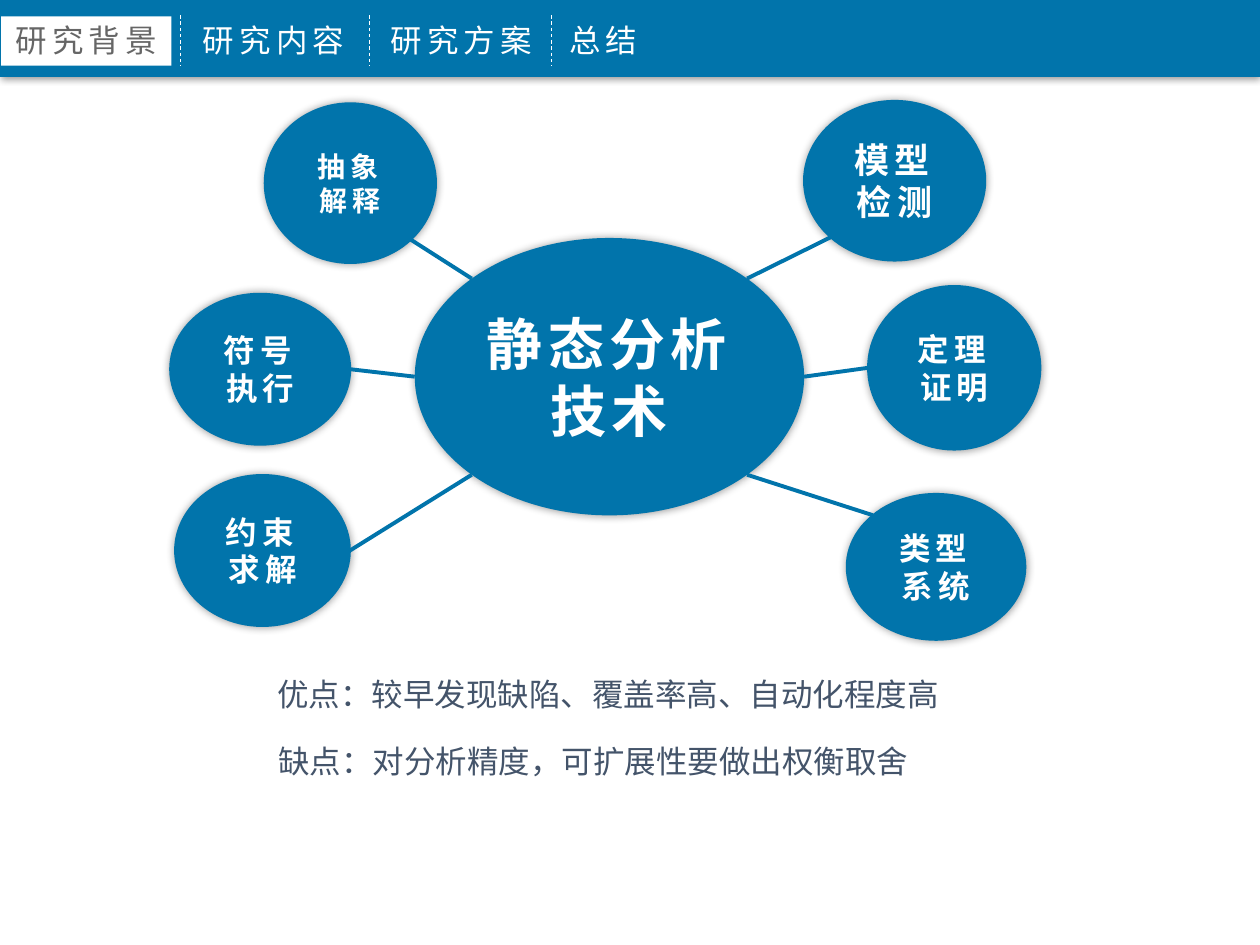
from math import cos, radians, sin

from lxml import etree
from pptx import Presentation
from pptx.dml.color import RGBColor
from pptx.enum.dml import MSO_LINE
from pptx.enum.shapes import MSO_CONNECTOR, MSO_SHAPE
from pptx.enum.text import MSO_ANCHOR, MSO_AUTO_SIZE, PP_ALIGN
from pptx.oxml.ns import qn
from pptx.util import Pt

OVAL, RECTANGLE = MSO_SHAPE.OVAL, MSO_SHAPE.RECTANGLE
STRAIGHT, DASH = MSO_CONNECTOR.STRAIGHT, MSO_LINE.DASH
LEFT, CENTER, JUSTIFY = PP_ALIGN.LEFT, PP_ALIGN.CENTER, PP_ALIGN.JUSTIFY
MIDDLE, GROW = MSO_ANCHOR.MIDDLE, MSO_AUTO_SIZE.SHAPE_TO_FIT_TEXT
FONT = "Noto Sans CJK SC"
BLUE, WHITE, GRAY, SLATE = "0174AB", "FFFFFF", "666666", "44546A"

TABS = [("研究背景", 0, 98.6), ("研究内容", 108.7, 102.2),
        ("研究方案", 216, 102.2), ("总结", 318.2, 102.2)]
SEPARATORS = [103, 211, 315.4]
HUB = (140, 79, 222.5, 158.5)
SPOKES = [
    ("模型检测", 20, (362.4, 0.6, 103.7, 91.4), 315, 135),
    ("定理证明", 18, (399, 106.4, 98.6, 93.6), 0, 180),
    ("类型系统", 18, (386.8, 225.2, 102.2, 83.5), 45, 225),
    ("约束求解", 18, (3, 214.4, 100, 86.4), 135, 0),
    ("符号执行", 18, (0.2, 110.8, 103, 86.4), 180, 0),
    ("抽象解释", 16, (54.2, 2, 98, 91.4), 225, 45),
]
NOTES = ["优点：较早发现缺陷、覆盖率高、自动化程度高",
         "缺点：对分析精度，可扩展性要做出权衡取舍"]


def color(value):
    """Turn a hex string into a colour."""
    return RGBColor.from_string(value)


def shift(box, left, top):
    """Move a box by an offset."""
    return (box[0] + left, box[1] + top, box[2], box[3])


def write(frame, text, size=18, ink=WHITE, bold=False, spacing=0, align=LEFT):
    """Write one formatted paragraph in a text frame."""
    frame.word_wrap = True
    para = frame.paragraphs[0]
    para.alignment = align
    span = para.add_run()
    span.text = text
    font = span.font
    font.size, font.bold, font.name = Pt(size), bold, FONT
    font.color.rgb = color(ink)
    properties = span.font._element
    properties.set("spc", str(spacing * 100))
    etree.SubElement(properties, qn("a:ea")).set("typeface", FONT)


def add_text(page, box, text, **style):
    """Add a text box that grows with its text."""
    frame = page.shapes.add_textbox(*map(Pt, box)).text_frame
    frame.auto_size = GROW
    write(frame, text, **style)


def add_shadow(shape, blur, distance, angle):
    """Give a shape a soft black outer shadow."""
    effects = shape._element.spPr.find(qn("a:effectLst"))
    shadow = etree.SubElement(
        effects, qn("a:outerShdw"), blurRad=str(Pt(blur)),
        dist=str(Pt(distance)), dir=str(angle * 60000), rotWithShape="0")
    ink = etree.SubElement(shadow, qn("a:srgbClr"), val="000000")
    etree.SubElement(ink, qn("a:alpha"), val="40000")


def add_shape(page, kind, box, fill, outline=None):
    """Add a filled shape, outlined only on request."""
    shape = page.shapes.add_shape(kind, *map(Pt, box))
    shape.shadow.inherit = False
    shape.fill.solid()
    shape.fill.fore_color.rgb = color(fill)
    if outline:
        shape.line.color.rgb = color(outline)
        shape.line.width = Pt(1)
    else:
        shape.line.fill.background()
    return shape


def add_line(page, start, end, ink, width, dash=None):
    """Add a straight line without shadow."""
    line = page.shapes.add_connector(STRAIGHT, *map(Pt, (*start, *end)))
    line.line.color.rgb = color(ink)
    line.line.width = Pt(width)
    if dash:
        line.line.dash_style = dash
    etree.SubElement(line._element.spPr, qn("a:effectLst"))


def add_bubble(page, box, text, size, outline=None):
    """Add a shadowed ellipse with a bold label."""
    bubble = add_shape(page, OVAL, box, BLUE, outline)
    add_shadow(bubble, 5, 0, 0)
    bubble.text_frame.vertical_anchor = MIDDLE
    write(bubble.text_frame, text, size=size, bold=True, spacing=3, align=CENTER)


def rim_point(box, angle):
    """Find the point on an ellipse at a clockwise angle from the right."""
    left, top, width, height = box
    return (left + width / 2 * (1 + cos(radians(angle))),
            top + height / 2 * (1 + sin(radians(angle))))


def add_navigation(page, box):
    """Draw the header bar with its tabs, the first one active."""
    left, top = box[:2]
    add_shadow(add_shape(page, RECTANGLE, box, BLUE), 4, 1, 90)
    add_shape(page, RECTANGLE, (left + 0.7, top + 9.4, 97.2, 28.1), WHITE)
    for index, (label, offset, width) in enumerate(TABS):
        active = index == 0
        add_text(page, (left + offset, top + 8.6, width, 28.8), label, spacing=3,
                 ink=GRAY if active else WHITE, align=CENTER if active else LEFT)
    for offset in SEPARATORS:
        x = left + offset
        add_line(page, (x, top + 8.6), (x, top + 37.4), WHITE, 0.5, DASH)


def add_mind_map(page, box):
    """Draw the hub, its satellites and the lines between them."""
    left, top = box[:2]
    hub = shift(HUB, left, top)
    add_bubble(page, hub, "静态分析技术", 32)
    for text, size, place, hub_angle, spoke_angle in SPOKES:
        spoke = shift(place, left, top)
        add_bubble(page, spoke, text, size, BLUE)
        add_line(page, rim_point(spoke, spoke_angle), rim_point(hub, hub_angle),
                 BLUE, 2.25)


def add_notes(page, box):
    """Write the pros and cons lines one below the other."""
    left, top, width, height = box
    for index, text in enumerate(NOTES):
        add_text(page, (left + 0.5 * index, top + 38.2 * index, width, height),
                 text, ink=SLATE, align=JUSTIFY)


def main():
    """Build and save the deck."""
    deck = Presentation()
    deck.slide_width, deck.slide_height = Pt(720), Pt(540)
    page = deck.slides.add_slide(deck.slide_layouts[6])
    add_mind_map(page, (97, 57, 498, 309))
    add_navigation(page, (0, 0, 720, 43.9))
    add_notes(page, (151.4, 382.3, 416.9, 51.1))
    deck.save("out.pptx")


if __name__ == "__main__":
    main()
